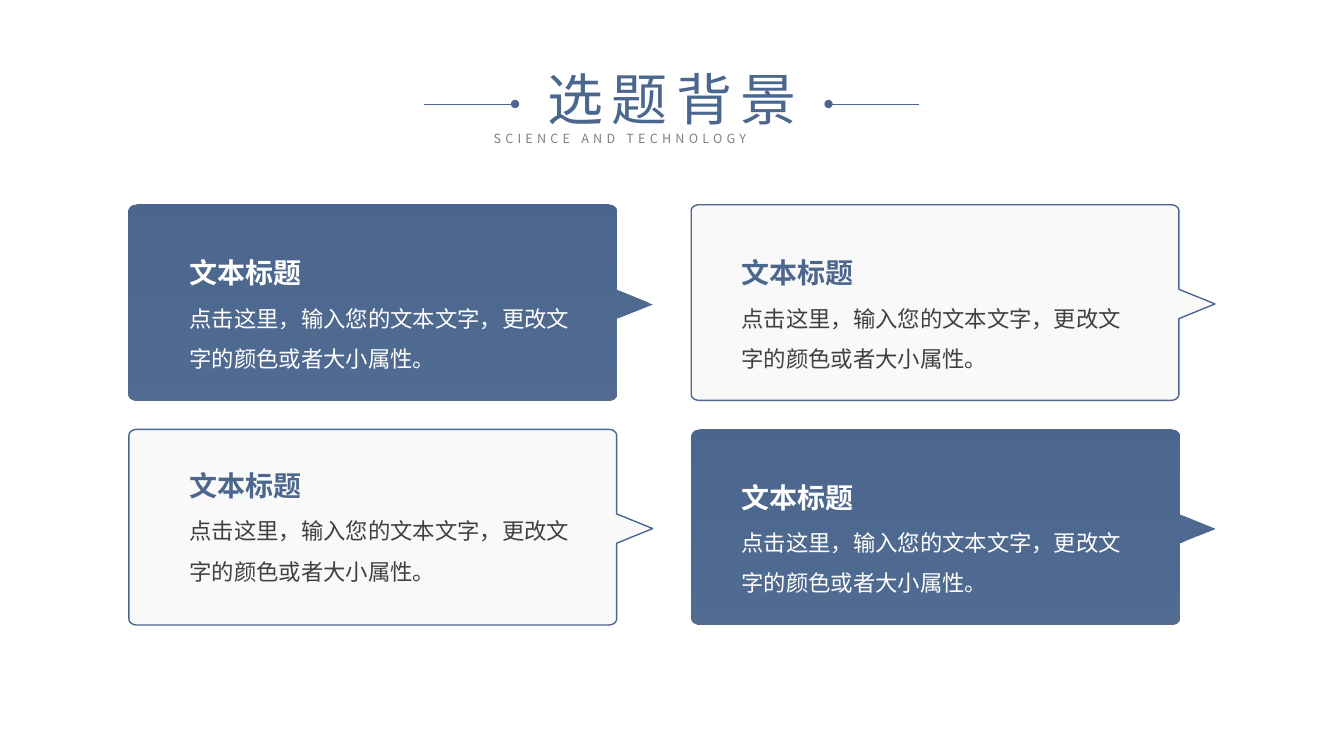
from math import cos, pi, sin

from lxml.etree import SubElement
from pptx import Presentation
from pptx.dml.color import RGBColor
from pptx.enum.shapes import MSO_CONNECTOR
from pptx.enum.text import MSO_AUTO_SIZE, PP_ALIGN
from pptx.oxml.ns import qn
from pptx.util import Cm, Pt

BLUE = RGBColor(0x4C, 0x67, 0x8E)
PALE = RGBColor(0xF2, 0xF2, 0xF2)
WHITE = RGBColor(0xFF, 0xFF, 0xFF)
GRAY = RGBColor(0x80, 0x80, 0x80)
DARK = RGBColor(0x40, 0x40, 0x40)
FONT = "Noto Sans CJK SC"


def add_text(box, words, size, color, align=None, bold=None, spacing=None,
             line_spacing=None, inset=True):
    frame = slide.shapes.add_textbox(*[Cm(length) for length in box]).text_frame
    frame.word_wrap = True
    frame.auto_size = MSO_AUTO_SIZE.SHAPE_TO_FIT_TEXT
    if not inset:
        frame.margin_left = frame.margin_right = 0
        frame.margin_top = frame.margin_bottom = 0
    paragraph = frame.paragraphs[0]
    paragraph.alignment = align
    paragraph.line_spacing = line_spacing
    run = paragraph.add_run()
    run.text = words
    run.font.size = Pt(size)
    run.font.bold = bold
    run.font.color.rgb = color
    run.font.name = FONT
    properties = run._r.get_or_add_rPr()
    SubElement(properties, qn("a:ea"), typeface=FONT)
    if spacing:
        properties.set("spc", str(spacing * 100))


def callout_outline(left, top):
    width, height, rx, ry = 12.29, 4.93, 0.2, 0.15
    right, bottom = left + width, top + height
    notch = [(right, top + 2.13), (right + 0.91, top + 2.5), (right, top + 2.87)]
    corners = [(right - rx, top + ry, -90), (right - rx, bottom - ry, 0),
               (left + rx, bottom - ry, 90), (left + rx, top + ry, 180)]
    points = []
    for index, (x, y, start) in enumerate(corners):
        for step in range(7):
            angle = (start + step * 15) * pi / 180
            points.append((x + rx * cos(angle), y + ry * sin(angle)))
        if index == 0:
            points += notch
    return [(Cm(x), Cm(y)) for x, y in points]


presentation = Presentation()
presentation.slide_width = Cm(33.87)
presentation.slide_height = Cm(19.05)
slide = presentation.slides.add_slide(presentation.slide_layouts[6])

add_text((12.19, 3.18, 9.5, 0.64), "SCIENCE AND TECHNOLOGY", 9, GRAY,
         align=PP_ALIGN.JUSTIFY, spacing=3)
add_text((13.11, 1.5, 7.65, 1.96), "选题背景", 40, BLUE,
         align=PP_ALIGN.CENTER, spacing=6)

for outer, inner in [(10.69, 12.98), (23.16, 20.88)]:
    title_rule = slide.shapes.add_connector(
        MSO_CONNECTOR.STRAIGHT, Cm(outer), Cm(2.62), Cm(inner), Cm(2.62))
    title_rule.line.color.rgb = BLUE
    title_rule.line.width = Pt(0.5)
    rule_properties = title_rule._element.spPr
    SubElement(rule_properties.find(qn("a:ln")), qn("a:tailEnd"), type="oval")
    SubElement(rule_properties, qn("a:effectLst"))

cards = [
    (3.25, 5.16, 4.78, 6.02, True),
    (3.25, 10.82, 4.78, 11.38, False),
    (17.42, 5.16, 18.69, 6.02, False),
    (17.42, 10.82, 18.69, 11.68, True),
]
for left, top, text_left, heading_top, filled in cards:
    outline = callout_outline(left, top)
    builder = slide.shapes.build_freeform(*outline[0])
    builder.add_line_segments(outline[1:], close=True)
    card = builder.convert_to_shape()
    card.shadow.inherit = False
    if filled:
        card.fill.gradient()
        card.fill.gradient_angle = 270
        for stop, position in zip(card.fill.gradient_stops, (0, 1)):
            stop.color.rgb = BLUE
            stop.position = position
        card.line.fill.background()
        opacity = 97
    else:
        card.fill.solid()
        card.fill.fore_color.rgb = PALE
        opacity = 44
    fill_color = list(card._element.spPr.iter(qn("a:srgbClr")))[-1]
    SubElement(fill_color, qn("a:alpha"), val=str(opacity * 1000))
    if not filled:
        card.line.color.rgb = BLUE
        card.line.width = Pt(1)

    add_text((text_left, heading_top, 3.12, 1.14), "文本标题", 20,
             WHITE if filled else BLUE, bold=True, line_spacing=1.5, inset=False)
    add_text((text_left, heading_top + 1.32, 9.73, 1.93),
             "点击这里，输入您的文本文字，更改文字的颜色或者大小属性。", 16,
             WHITE if filled else DARK, line_spacing=1.5, inset=False)

presentation.save("out.pptx")
